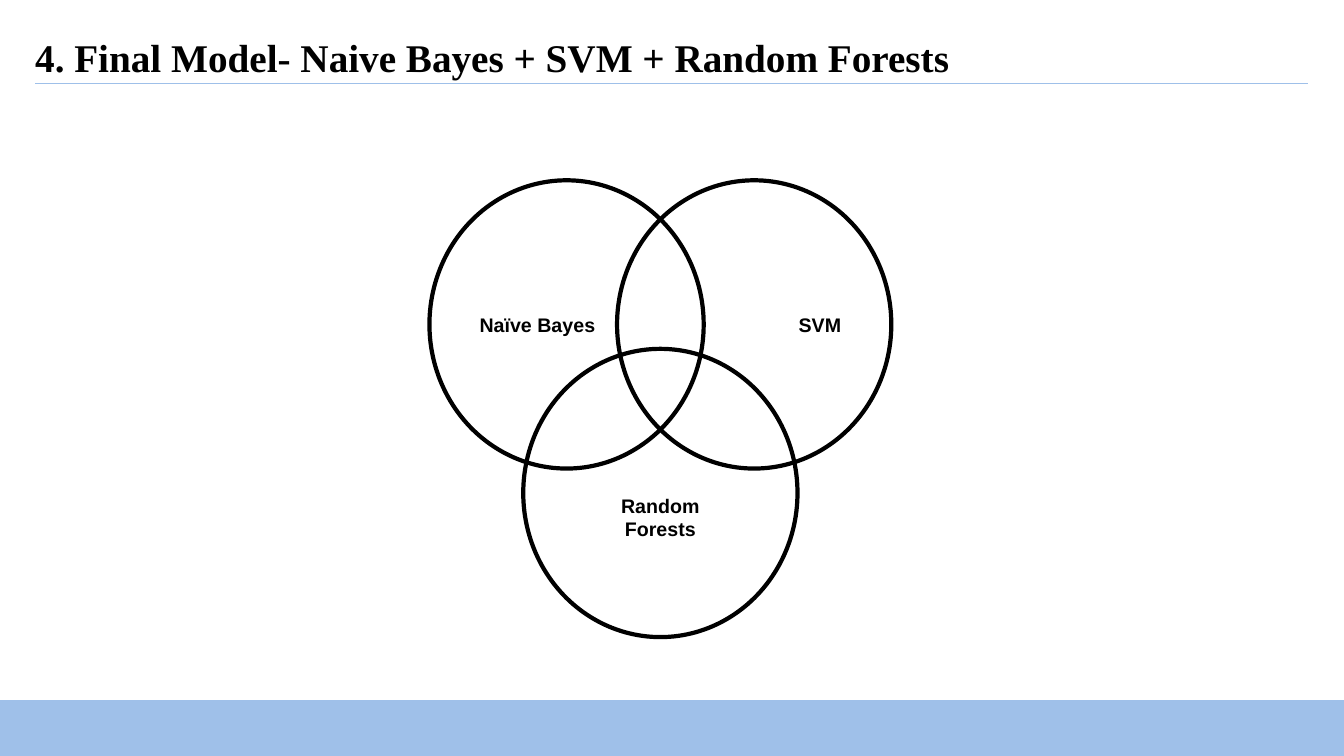
from lxml import etree
from pptx import Presentation
from pptx.dml.color import RGBColor
from pptx.enum.shapes import MSO_CONNECTOR, MSO_SHAPE
from pptx.enum.text import MSO_ANCHOR, PP_ALIGN
from pptx.oxml.ns import qn
from pptx.util import Pt

RECTANGLE, OVAL = MSO_SHAPE.RECTANGLE, MSO_SHAPE.OVAL
STRAIGHT = MSO_CONNECTOR.STRAIGHT
BOTTOM, MIDDLE = MSO_ANCHOR.BOTTOM, MSO_ANCHOR.MIDDLE
LEFT, CENTER, RIGHT = PP_ALIGN.LEFT, PP_ALIGN.CENTER, PP_ALIGN.RIGHT

COLORS = {"band": "9FC0E9", "ink": "000000"}
SLIDE_WIDTH, SLIDE_HEIGHT = 960, 540
BAND_TOP = 500.4
MARGIN = 25.2
CONTENT_WIDTH = 909.4
RULE_TOP = 59.5

CIRCLE_WIDTH, CIRCLE_HEIGHT = 195.9, 205.9
VENN_CENTER_X = 471.7
CENTER_OFFSET = 67
UPPER_TOP, LOWER_TOP = 128.8, 249.2
INSET = 7.2
LOWER_LABEL_INSET = 42

# label lines, horizontal offset of the centre, top, alignment, top inset
CIRCLES = [
    (["Naïve Bayes"], -CENTER_OFFSET, UPPER_TOP, LEFT, INSET),
    (["SVM"], CENTER_OFFSET, UPPER_TOP, RIGHT, INSET),
    (["Random", "Forests"], 0, LOWER_TOP, CENTER, LOWER_LABEL_INSET),
]


def color(name):
    return RGBColor.from_string(COLORS[name])


def write_text(shape, lines, font_name, size, alignment, frame_format):
    """Fill the shape with bold paragraphs, one for each line."""
    frame = shape.text_frame
    for attribute, value in frame_format.items():
        setattr(frame, attribute, value)
    frame.text = "\n".join(lines)
    font_format = {"name": font_name, "size": Pt(size), "bold": True}
    for paragraph in frame.paragraphs:
        paragraph.alignment = alignment
        font = paragraph.runs[0].font
        font.color.rgb = color("ink")
        for attribute, value in font_format.items():
            setattr(font, attribute, value)


presentation = Presentation()
presentation.slide_width = Pt(SLIDE_WIDTH)
presentation.slide_height = Pt(SLIDE_HEIGHT)
slide = presentation.slides.add_slide(presentation.slide_layouts[6])
shapes = slide.shapes

# Footer band and title rule
band = shapes.add_shape(
    RECTANGLE, 0, Pt(BAND_TOP), Pt(SLIDE_WIDTH), Pt(SLIDE_HEIGHT - BAND_TOP)
)
band.shadow.inherit = False
band.fill.solid()
band.fill.fore_color.rgb = color("band")

rule = shapes.add_connector(
    STRAIGHT, Pt(MARGIN), Pt(RULE_TOP), Pt(MARGIN + CONTENT_WIDTH), Pt(RULE_TOP)
)
etree.SubElement(rule._element.spPr, qn("a:effectLst"))

for shape in (band, rule):
    shape.line.color.rgb = color("band")
    shape.line.width = Pt(1)

# Title
title = shapes.add_textbox(Pt(MARGIN), Pt(14.4), Pt(CONTENT_WIDTH), Pt(43.2))
title_format = {
    "word_wrap": True,
    "vertical_anchor": BOTTOM,
    "margin_left": 0,
    "margin_top": 0,
    "margin_right": 0,
    "margin_bottom": 0,
}
write_text(
    title,
    ["4. Final Model- Naive Bayes + SVM + Random Forests"],
    "Times New Roman", 28, LEFT, title_format,
)
title.text_frame.paragraphs[0].line_spacing = 0.9

# Venn diagram
for lines, offset, top, alignment, top_inset in CIRCLES:
    left = VENN_CENTER_X + offset - CIRCLE_WIDTH / 2
    circle = shapes.add_shape(
        OVAL, Pt(left), Pt(top), Pt(CIRCLE_WIDTH), Pt(CIRCLE_HEIGHT)
    )
    circle.shadow.inherit = False
    circle.fill.background()
    circle.line.color.rgb = color("ink")
    circle.line.width = Pt(3)
    label_format = {
        "word_wrap": True,
        "vertical_anchor": MIDDLE,
        "margin_left": Pt(INSET),
        "margin_top": Pt(top_inset),
        "margin_right": Pt(INSET),
        "margin_bottom": Pt(INSET),
    }
    write_text(circle, lines, "Arial", 14, alignment, label_format)

presentation.save("out.pptx")
